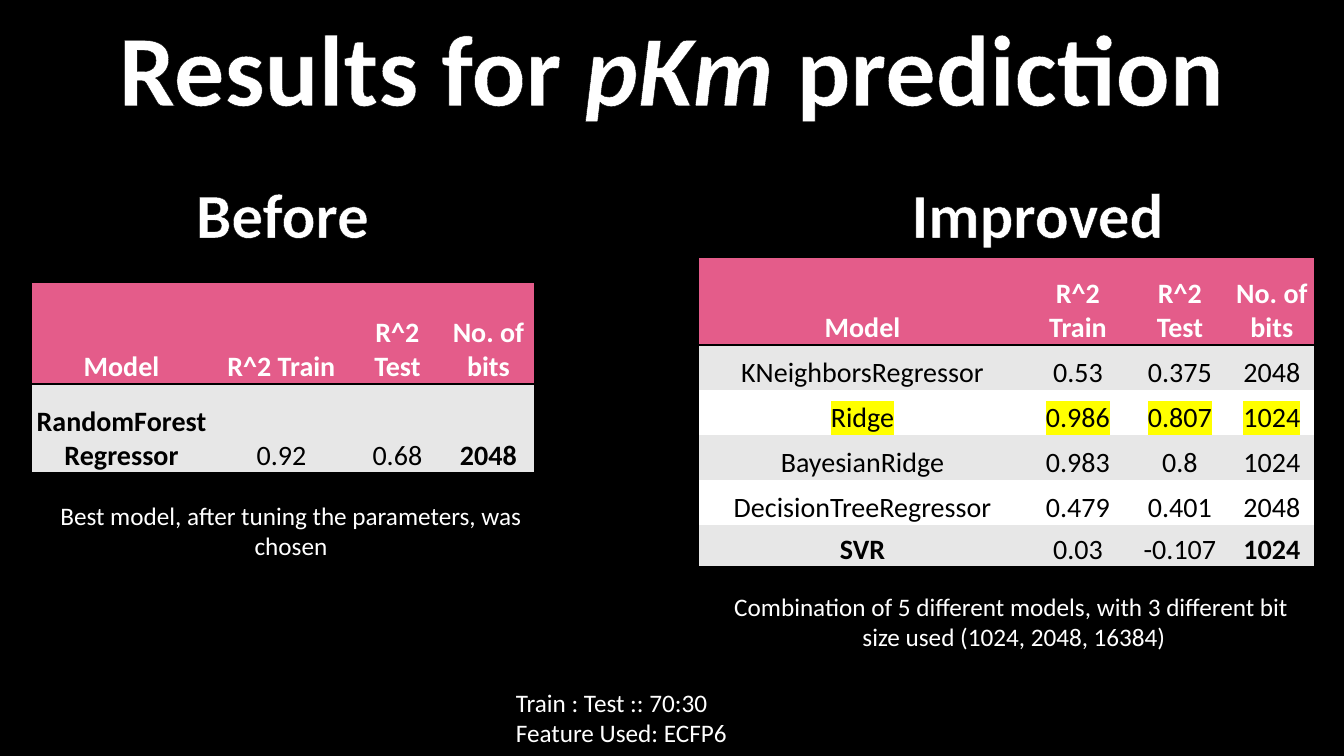
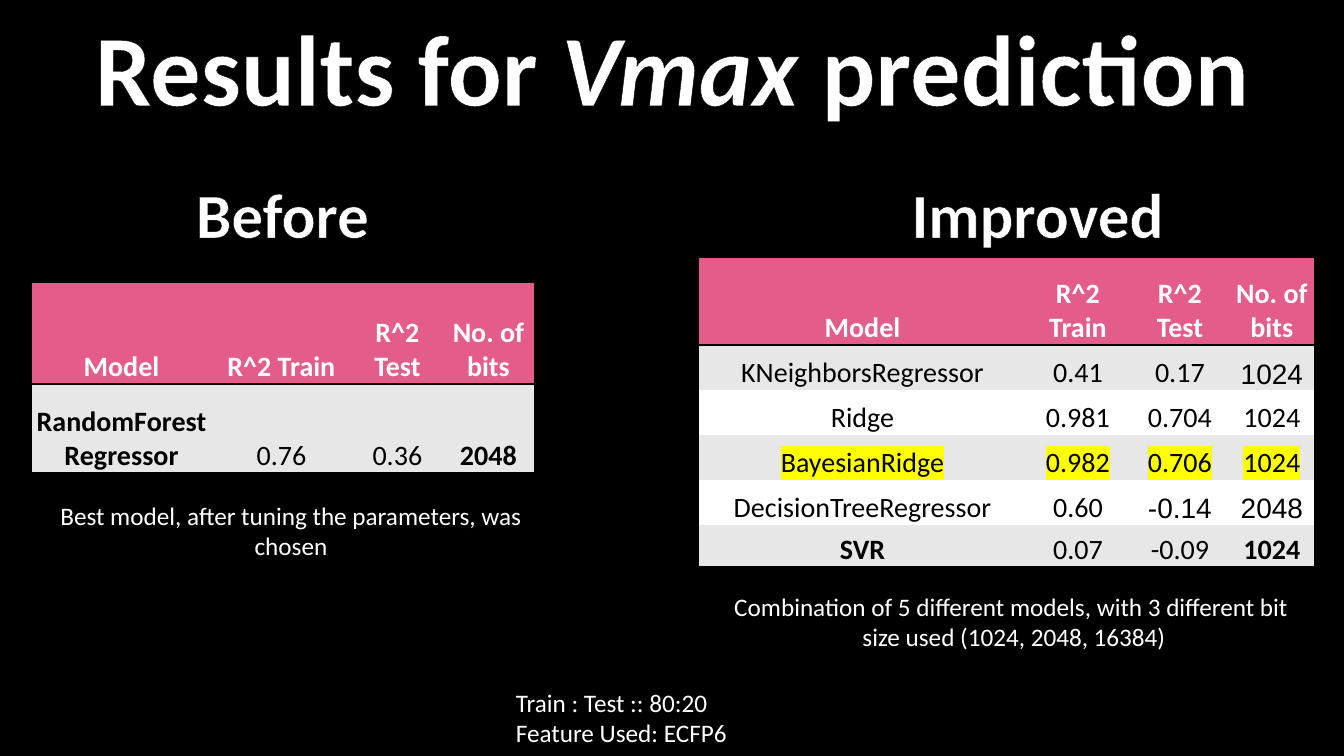
from dataclasses import dataclass

from lxml.etree import SubElement
from pptx import Presentation
from pptx.dml.color import RGBColor
from pptx.enum.text import MSO_ANCHOR, MSO_AUTO_SIZE, PP_ALIGN
from pptx.oxml import parse_xml
from pptx.oxml.ns import nsdecls, qn
from pptx.util import Pt

SLIDE_W, SLIDE_H = 1344, 756
EMU_PER_PX = 12192000 / SLIDE_W
NO_GRID_STYLE = "{2D5ABB26-0587-4C30-8999-92F81FD0307C}"


@dataclass(frozen=True)
class Theme:
    black: str = "000000"
    white: str = "FFFFFF"
    pink: str = "E45C8A"
    grey: str = "E7E7E7"
    yellow: str = "FFFF00"
    font: str = "Calibri"
    alt_font: str = "Arial"
    title: int = 72
    heading: int = 45
    cell: int = 20
    note: int = 18


THEME = Theme()
HEADER = ["Model", "R^2 Train", "R^2 Test", "No. of bits"]

# Each result: the property, title width, split, tables' rows,
# the highlighted row and the cells set in the second font.
RESULTS = [
    {
        "property": "pKm", "title_w": 1137, "split": "70:30",
        "before": [["RandomForestRegressor", "0.92", "0.68", "2048"]],
        "improved": [
            ["KNeighborsRegressor", "0.53", "0.375", "2048"],
            ["Ridge", "0.986", "0.807", "1024"],
            ["BayesianRidge", "0.983", "0.8", "1024"],
            ["DecisionTreeRegressor", "0.479", "0.401", "2048"],
            ["SVR", "0.03", "-0.107", "1024"],
        ],
        "best_row": 2, "alt_cells": set(),
    },
    {
        "property": "Vmax", "title_w": 1186, "split": "80:20",
        "before": [["RandomForestRegressor", "0.76", "0.36", "2048"]],
        "improved": [
            ["KNeighborsRegressor", "0.41", "0.17", "1024"],
            ["Ridge", "0.981", "0.704", "1024"],
            ["BayesianRidge", "0.982", "0.706", "1024"],
            ["DecisionTreeRegressor", "0.60", "-0.14", "2048"],
            ["SVR", "0.07", "-0.09", "1024"],
        ],
        "best_row": 3, "alt_cells": {(1, 3), (4, 2), (4, 3)},
    },
]

# Table layout: key, left, top, column widths, row heights, cell margin.
TABLES = [
    ("improved", 699, 257, [327, 104, 100, 84], [88, 45, 45, 45, 45, 42], 3),
    ("before", 32, 282, [179, 141, 91, 91], [102, 89], 1),
]

# Text layout: text, box, size, alignment, whether it is a heading.
CENTER, LEFT = PP_ALIGN.CENTER, PP_ALIGN.LEFT
TEXTS = [
    ("Improved", (900, 170, 275, 87), THEME.heading, CENTER, True),
    ("Before", (185, 170, 195, 87), THEME.heading, CENTER, True),
    ("Train : Test :: {split}\nFeature Used: ECFP6",
     (506, 682, 234, 72), THEME.note, LEFT, False),
    ("Combination of 5 different models, with 3 different bit \v"
     "size used (1024, 2048, 16384)",
     (720, 586, 588, 72), THEME.note, CENTER, False),
    ("Best model, after tuning the parameters, was\vchosen",
     (47, 495, 488, 72), THEME.note, CENTER, False),
]


def px(length):
    return round(length * EMU_PER_PX)


def format_text(frame, size, color=THEME.white, bold=False, align=CENTER,
                font=THEME.font, outlined=False):
    for paragraph in frame.paragraphs:
        paragraph.alignment = align
        for run in paragraph.runs:
            run.font.size = Pt(size)
            run.font.name = font
            run.font.bold = bold
            run.font.color.rgb = RGBColor.from_string(color)
            if outlined:
                run.font._element.insert(0, parse_xml(
                    f'<a:ln {nsdecls("a")} w="9525"><a:solidFill>'
                    f'<a:srgbClr val="{THEME.black}"/></a:solidFill></a:ln>'))


prs = Presentation()
prs.slide_width, prs.slide_height = px(SLIDE_W), px(SLIDE_H)
background = prs.slide_master.background.fill
background.solid()
background.fore_color.rgb = RGBColor.from_string(THEME.black)
title_only = prs.slide_layouts[5]

for result in RESULTS:
    slide = prs.slides.add_slide(title_only)

    title = slide.shapes.title
    title.left, title.top = px((SLIDE_W - result["title_w"]) // 2), 0
    title.width, title.height = px(result["title_w"]), px(132)
    heading = title.text_frame
    heading.word_wrap = False
    heading.auto_size = MSO_AUTO_SIZE.SHAPE_TO_FIT_TEXT
    heading.vertical_anchor = MSO_ANCHOR.TOP
    for words in ("Results for ", result["property"] + " ", "prediction"):
        heading.paragraphs[0].add_run().text = words
    format_text(heading, THEME.title, bold=True, outlined=True)
    heading.paragraphs[0].runs[1].font.italic = True

    for key, left, top, col_widths, row_heights, margin in TABLES:
        rows = [HEADER] + result[key]
        last_row, last_col = len(rows) - 1, len(HEADER) - 1
        table = slide.shapes.add_table(
            len(rows), len(HEADER), px(left), px(top),
            px(sum(col_widths)), px(sum(row_heights))).table
        table._tbl.tblPr.find(qn("a:tableStyleId")).text = NO_GRID_STYLE
        for column, width in zip(table.columns, col_widths):
            column.width = px(width)
        for row, height in zip(table.rows, row_heights):
            row.height = px(height)

        for r, values in enumerate(rows):
            for c, value in enumerate(values):
                cell = table.cell(r, c)
                cell.text = value
                cell.vertical_anchor = MSO_ANCHOR.BOTTOM
                cell.margin_left = cell.margin_right = cell.margin_top = px(margin)
                cell.margin_bottom = 0

                edges = {0: ["a:lnT", "a:lnB"], last_row: ["a:lnB"]}.get(r, [])
                for edge in edges:
                    line = SubElement(cell._tc.get_or_add_tcPr(), qn(edge), w="25400")
                    fill = SubElement(line, qn("a:solidFill"))
                    SubElement(fill, qn("a:srgbClr"), val=THEME.black)
                cell.fill.solid()
                band = THEME.pink if r == 0 else (THEME.white, THEME.grey)[r % 2]
                cell.fill.fore_color.rgb = RGBColor.from_string(band)

                use_alt = key == "improved" and (r, c) in result["alt_cells"]
                format_text(
                    cell.text_frame, THEME.cell,
                    color=THEME.white if r == 0 else THEME.black,
                    bold=r == 0 or (r == last_row and c in (0, last_col)),
                    font=THEME.alt_font if use_alt else THEME.font)
                if key == "improved" and r == result["best_row"]:
                    run_props = cell.text_frame.paragraphs[0].runs[0].font._element
                    run_props.find(qn("a:solidFill")).addnext(parse_xml(
                        f'<a:highlight {nsdecls("a")}>'
                        f'<a:srgbClr val="{THEME.yellow}"/></a:highlight>'))

    for text, box, size, align, is_heading in TEXTS:
        frame = slide.shapes.add_textbox(*map(px, box)).text_frame
        frame.word_wrap = False
        frame.auto_size = MSO_AUTO_SIZE.SHAPE_TO_FIT_TEXT
        frame.text = text.format(split=result["split"])
        format_text(frame, size, bold=is_heading, align=align, outlined=is_heading)

prs.save("out.pptx")
